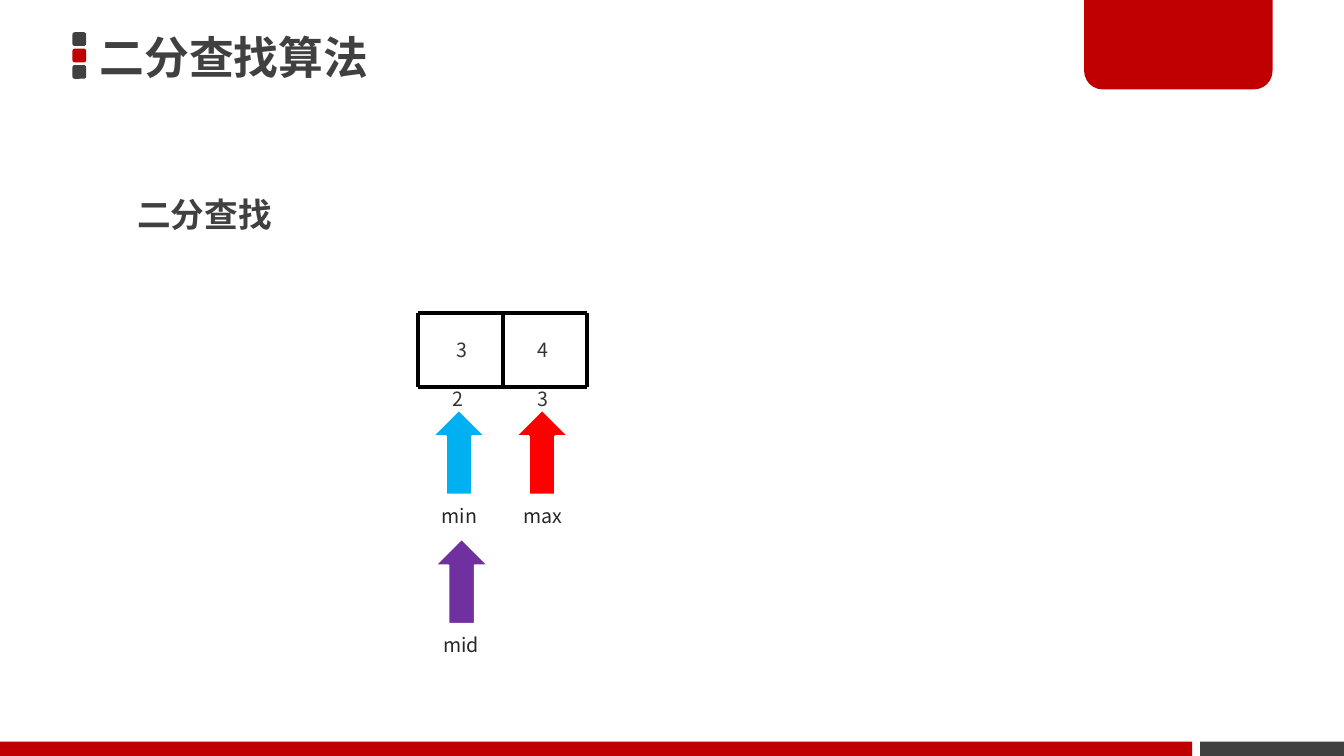
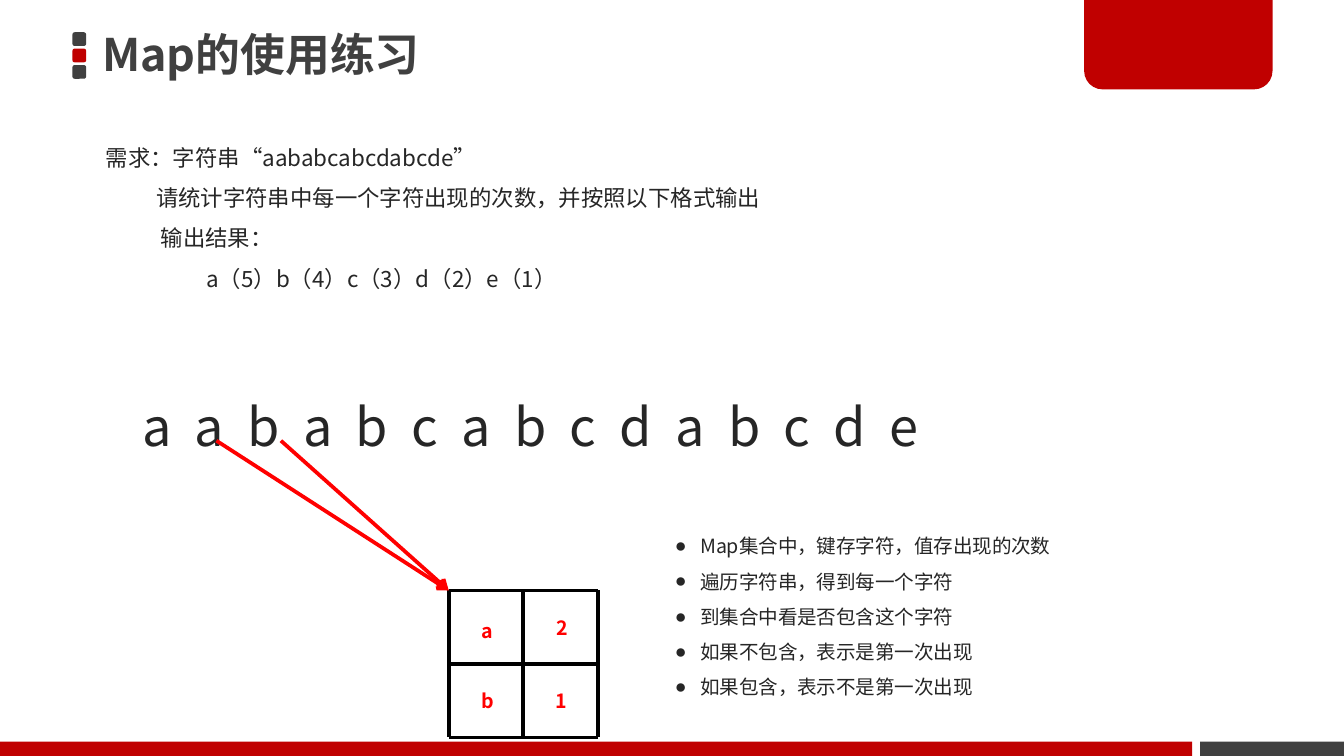
from lxml import etree
from pptx import Presentation
from pptx.dml.color import RGBColor
from pptx.enum import shapes, text
from pptx.oxml import ns
from pptx.util import Cm, Pt

RED = RGBColor(0xC0, 0x00, 0x00)
GRAY = RGBColor(0x40, 0x40, 0x40)
INK = RGBColor(0x26, 0x26, 0x26)
DIGIT = RGBColor(0x33, 0x33, 0x33)
BLACK = RGBColor(0x00, 0x00, 0x00)
WHITE = RGBColor(0xFF, 0xFF, 0xFF)
BRIGHT_RED = RGBColor(0xFF, 0x00, 0x00)
SKY = RGBColor(0x00, 0xB0, 0xF0)
PURPLE = RGBColor(0x70, 0x30, 0xA0)
TITLE_FONT = "Noto Sans CJK JP"
BODY_FONT = "Noto Sans CJK SC"
SLIDE_SIZE = (25.4, 14.29)

# All places and sizes below are in centimetres: left, top, width, height.
TITLE_SIZE = (18.26, 1.07)
LABEL_SIZE = (0.74, 0.71)

SEARCH = {
    "title": ("二分查找算法", 1.7, 0.53),
    "heading": ("二分查找", (2.34, 3.15, 9.75, 1.42)),
    "grid": {"left": 7.9, "top": 5.92, "cell": (1.6, 1.4), "columns": 2, "rows": 1},
    "values": [("3", 8.38, 6.27), ("4", 9.91, 6.27)],
    "indexes": [("2", 8.31, 7.19), ("3", 9.91, 7.19)],
    # name, colour, arrow left, arrow top, label left, label width
    "pointers": [
        ("min", SKY, 8.18, 7.75, 8.1, 1.19),
        ("max", BRIGHT_RED, 9.75, 7.75, 9.65, 1.27),
        ("mid", PURPLE, 8.23, 10.19, 8.13, 1.19),
    ],
}

COUNTING = {
    "title": ("Map的使用练习", 1.75, 0.48),
    "task_at": (1.75, 2.34, 21.95, 3.2),
    # line, left indent
    "task": [
        ("需求：字符串“aababcabcdabcde”", 0),
        ("请统计字符串中每一个字符出现的次数，并按照以下格式输出", 0.95),
        ("输出结果：", 1.04),
        ("a（5）b（4）c（3）d（2）e（1）", 1.9),
    ],
    "letters": ("aababcabcdabcde", (2.44, 6.73, 20.45, 2.06)),
    "grid": {"left": 8.48, "top": 11.16, "cell": (1.41, 1.39), "columns": 2, "rows": 2},
    "counts": [("a", 8.86, 11.58), ("2", 10.26, 11.51),
               ("b", 8.86, 12.9), ("1", 10.24, 12.9)],
    "arrow_starts": [(4.09, 8.33), (5.31, 8.33)],
    "steps_at": (12.5, 9.75, 11.91, 3.63),
    "steps": [
        "Map集合中，键存字符，值存出现的次数",
        "遍历字符串，得到每一个字符",
        "到集合中看是否包含这个字符",
        "如果不包含，表示是第一次出现",
        "如果包含，表示不是第一次出现",
    ],
}


def sub(parent, tag, **attributes):
    return etree.SubElement(parent, ns.qn(tag), attributes)


def place(shape, box):
    shape.left, shape.top, shape.width, shape.height = map(Cm, box)


def style(paragraph, size, color, bold=False, font=BODY_FONT, spacing=None):
    """Format every run; spacing is extra room between letters, in points."""
    for run in paragraph.runs:
        run.font.size, run.font.bold, run.font.name = Pt(size), bold, font
        run.font.color.rgb = color
        properties = run._r.get_or_add_rPr()
        properties.set("lang", "zh-CN")
        if spacing:
            properties.set("spc", str(round(spacing * 100)))
        ea = etree.Element(ns.qn("a:ea"), typeface=font)
        properties.find(ns.qn("a:latin")).addnext(ea)


def indent(paragraph, left, hanging=0, bullet=None):
    properties = paragraph._p.get_or_add_pPr()
    properties.set("marL", str(Cm(left)))
    properties.set("indent", str(-Cm(hanging)))
    if bullet:
        sub(properties, "a:buChar", char=bullet)
    else:
        sub(properties, "a:buNone")


def loosen(paragraph):
    paragraph.line_spacing = 1.5
    paragraph.space_before = Pt(0)


def add_block(slide, box):
    block = slide.shapes.add_textbox(*map(Cm, box))
    block.text_frame.word_wrap = True
    return block.text_frame


def add_label(slide, words, left, top, color, width=LABEL_SIZE[0], bold=False):
    frame = add_block(slide, (left, top, width, LABEL_SIZE[1]))
    frame.word_wrap = False
    frame.auto_size = text.MSO_AUTO_SIZE.SHAPE_TO_FIT_TEXT
    frame.text = words
    style(frame.paragraphs[0], 10.5, color, bold)


def add_solid(slide, preset, box, color):
    shape = slide.shapes.add_shape(preset, *map(Cm, box))
    shape.shadow.inherit = False
    shape.fill.solid()
    shape.fill.fore_color.rgb = color
    shape.line.fill.background()
    return shape


def add_line(slide, start, end, color=BLACK, arrow=False):
    line = slide.shapes.add_connector(
        shapes.MSO_CONNECTOR.STRAIGHT, *map(Cm, (*start, *end)))
    line.line.color.rgb = color
    line.line.width = Pt(2)
    if arrow:
        sub(line.line._get_or_add_ln(), "a:tailEnd", type="arrow")
    sub(line.element.spPr, "a:effectLst")


def add_grid(slide, left, top, cell, columns, rows):
    width, height = cell
    right = left + columns * width
    for row in range(rows + 1):
        y = top + row * height
        add_line(slide, (left, y), (right, y))
    for row in range(rows):
        y = top + row * height
        for column in range(columns + 1):
            x = left + column * width
            add_line(slide, (x, y), (x, y + height))


def decorate(layout, slide):
    """Draw the shared bands and move them from the slide to its layout."""
    preset = shapes.MSO_SHAPE
    parts = [
        add_solid(slide, preset.ROUNDED_RECTANGLE, (1.37, 0.61 + 0.31 * i, 0.26, 0.26), color)
        for i, color in enumerate((GRAY, RED, GRAY))
    ]
    tab = add_solid(slide, preset.ROUND_2_SAME_RECTANGLE, (20.49, -0.05, 3.56, 1.74), RED)
    tab.adjustments[0], tab.adjustments[1] = 0, 0.2
    parts += [
        tab,
        add_solid(slide, preset.RECTANGLE, (22.68, 14.02, 2.72, 0.27), GRAY),
        add_solid(slide, preset.RECTANGLE, (0, 14.02, 22.53, 0.27), RED),
    ]
    for part in parts:
        layout.shapes.element.append(part.element)


def set_title(slide, words, left, top):
    title = slide.shapes.title
    place(title, (left, top, *TITLE_SIZE))
    frame = title.text_frame
    frame.text = words
    frame.auto_size = text.MSO_AUTO_SIZE.NONE
    frame.vertical_anchor = text.MSO_ANCHOR.MIDDLE
    frame.margin_left = frame.margin_right = Cm(0.18)
    frame.margin_top = frame.margin_bottom = Cm(0.1)
    frame.paragraphs[0].alignment = text.PP_ALIGN.LEFT
    style(frame.paragraphs[0], 24, GRAY, True, TITLE_FONT)


def set_body(slide, lines, box):
    body = slide.placeholders[1]
    place(body, box)
    frame = body.text_frame
    frame.text = "\n".join(lines)
    frame.auto_size = text.MSO_AUTO_SIZE.NONE
    for paragraph in frame.paragraphs:
        loosen(paragraph)
    return frame.paragraphs


def build_search(slide):
    set_title(slide, *SEARCH["title"])
    heading, box = SEARCH["heading"]
    for paragraph in set_body(slide, [heading], box):
        indent(paragraph, 0)
        style(paragraph, 18, GRAY, True)
    add_grid(slide, **SEARCH["grid"])
    for words, left, top in SEARCH["values"] + SEARCH["indexes"]:
        add_label(slide, words, left, top, DIGIT)
    for name, color, left, top, label_left, label_width in SEARCH["pointers"]:
        pointer = add_solid(slide, shapes.MSO_SHAPE.UP_ARROW, (left, top, 0.99, 1.6), color)
        pointer.line.color.rgb = WHITE
        pointer.line.width = Pt(1)
        add_label(slide, name, label_left, top + 1.65, INK, label_width)


def build_counting(slide):
    set_title(slide, *COUNTING["title"])

    task = add_block(slide, COUNTING["task_at"])
    task.text = "\n".join(line for line, _ in COUNTING["task"])
    for paragraph, (_, left) in zip(task.paragraphs, COUNTING["task"]):
        loosen(paragraph)
        indent(paragraph, left)
        style(paragraph, 12, INK)

    letters, box = COUNTING["letters"]
    sequence = add_block(slide, box)
    sequence.text = " ".join(letters)
    loosen(sequence.paragraphs[0])
    style(sequence.paragraphs[0], 28, INK, spacing=3.14)

    grid = COUNTING["grid"]
    add_grid(slide, **grid)
    for words, left, top in COUNTING["counts"]:
        add_label(slide, words, left, top, BRIGHT_RED, bold=True)
    for start in COUNTING["arrow_starts"]:
        add_line(slide, start, (grid["left"], grid["top"]), BRIGHT_RED, arrow=True)

    for paragraph in set_body(slide, COUNTING["steps"], COUNTING["steps_at"]):
        indent(paragraph, 0.48, 0.48, "●")
        style(paragraph, 10.5, INK)


def main():
    deck = Presentation()
    deck.slide_width, deck.slide_height = map(Cm, SLIDE_SIZE)
    layout = deck.slide_layouts[1]
    place(layout.placeholders[0], (*SEARCH["title"][1:], *TITLE_SIZE))
    place(layout.placeholders[1], (1.75, 2.34, 21.95, 11))
    for number, build in enumerate((build_search, build_counting)):
        slide = deck.slides.add_slide(layout)
        if number == 0:
            decorate(layout, slide)
        build(slide)
    deck.save("out.pptx")


if __name__ == "__main__":
    main()
